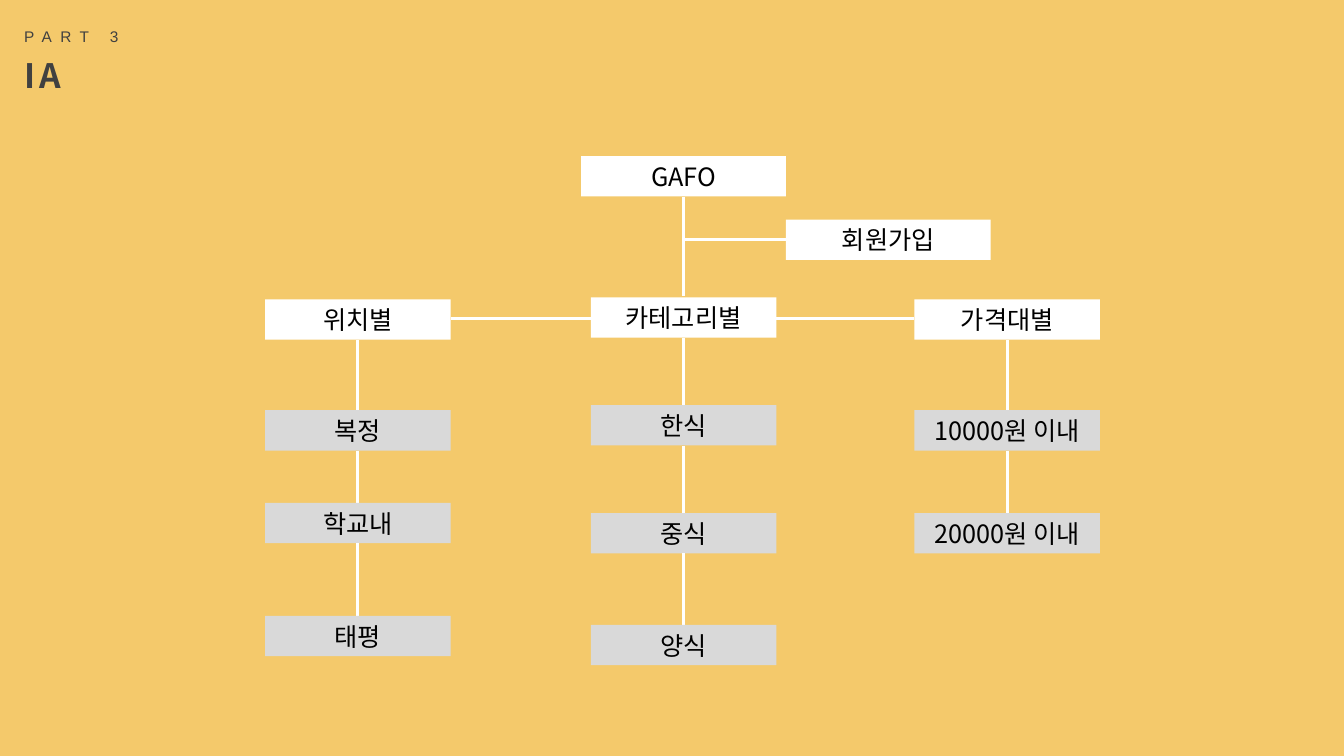
import pptx
import pptx.dml.color
import pptx.enum.shapes
import pptx.enum.text
import pptx.oxml.ns
import pptx.util
from pptx.util import Inches

RGBColor = pptx.dml.color.RGBColor
BACKGROUND = RGBColor(0xF4, 0xC9, 0x6B)
WHITE = RGBColor(0xFF, 0xFF, 0xFF)
GRAY = RGBColor(0xD9, 0xD9, 0xD9)
DARK = RGBColor(0x40, 0x40, 0x40)
BLACK = RGBColor(0, 0, 0)
KOREAN_FONT = "Noto Sans CJK KR"

BOX_HEIGHT = 0.4
MENU_WIDTH = 1.84
WIDE_WIDTH = 2.03
CENTER = 6.78
MENU_LINE = 3.16

COLUMNS = [
    (3.55, 2.97, "위치별", [(4.07, "복정"), (4.99, "학교내"), (6.11, "태평")]),
    (CENTER, 2.95, "카테고리별", [(4.02, "한식"), (5.09, "중식"), (6.2, "양식")]),
    (9.99, 2.97, "가격대별", [(4.07, "10000원 이내"), (5.09, "20000원 이내")]),
]


def write_text(shape, text, size=18, font=KOREAN_FONT, color=BLACK, bold=False,
               spacing=0, align=pptx.enum.text.PP_ALIGN.CENTER, wrap=True):
    frame = shape.text_frame
    frame.word_wrap = wrap
    frame.auto_size = pptx.enum.text.MSO_AUTO_SIZE.SHAPE_TO_FIT_TEXT
    paragraph = frame.paragraphs[0]
    paragraph.alignment = align
    run = paragraph.add_run()
    run.text = text
    run.font.size = pptx.util.Pt(size)
    run.font.name = font
    run.font.bold = bold
    run.font.color.rgb = color
    properties = run.font._element
    east_asian = properties.makeelement(pptx.oxml.ns.qn("a:ea"), {"typeface": font})
    properties.find(pptx.oxml.ns.qn("a:latin")).addnext(east_asian)
    if spacing:
        properties.set("spc", str(spacing * 100))


def add_heading(slide, text, left, top, width, height, **text_format):
    shape = slide.shapes.add_textbox(Inches(left), Inches(top), Inches(width), Inches(height))
    write_text(shape, text, color=DARK, align=pptx.enum.text.PP_ALIGN.LEFT,
               wrap=False, **text_format)


def add_box(slide, text, center, top, width=MENU_WIDTH, fill=WHITE):
    shape = slide.shapes.add_shape(
        pptx.enum.shapes.MSO_SHAPE.RECTANGLE, Inches(center - width / 2), Inches(top),
        Inches(width), Inches(BOX_HEIGHT))
    shape.shadow.inherit = False
    shape.fill.solid()
    shape.fill.fore_color.rgb = fill
    shape.line.fill.background()
    write_text(shape, text)


def add_line(slide, start_x, start_y, end_x, end_y):
    connector = slide.shapes.add_connector(
        pptx.enum.shapes.MSO_CONNECTOR.STRAIGHT,
        Inches(start_x), Inches(start_y), Inches(end_x), Inches(end_y))
    connector.line.color.rgb = WHITE
    connector.line.width = pptx.util.Pt(2.25)
    properties = connector._element.spPr
    properties.append(properties.makeelement(pptx.oxml.ns.qn("a:effectLst"), {}))


def add_column(slide, center, top, title, items):
    add_box(slide, title, center, top)
    bottom = top + BOX_HEIGHT
    for item_top, text in items:
        add_line(slide, center, bottom, center, item_top)
        add_box(slide, text, center, item_top, fill=GRAY)
        bottom = item_top + BOX_HEIGHT


def main():
    presentation = pptx.Presentation()
    presentation.slide_width = Inches(13.33)
    presentation.slide_height = Inches(7.5)
    slide = presentation.slides.add_slide(presentation.slide_layouts[6])
    slide.background.fill.solid()
    slide.background.fill.fore_color.rgb = BACKGROUND

    add_heading(slide, "PART 3", 0.14, 0.22, 1.25, 0.29, size=11, font="Arial", spacing=6)
    add_heading(slide, "IA", 0.14, 0.5, 0.61, 0.5, size=24, bold=True, spacing=3)

    add_box(slide, "GAFO", CENTER, 1.55, width=WIDE_WIDTH)
    add_line(slide, CENTER, 1.95, CENTER, 2.94)
    add_line(slide, CENTER, 2.38, CENTER + WIDE_WIDTH / 2, 2.38)
    add_box(slide, "회원가입", CENTER + WIDE_WIDTH, 2.18, width=WIDE_WIDTH)

    for column in COLUMNS:
        add_column(slide, *column)
    for left, right in zip(COLUMNS, COLUMNS[1:]):
        add_line(slide, left[0] + MENU_WIDTH / 2, MENU_LINE,
                 right[0] - MENU_WIDTH / 2, MENU_LINE)

    presentation.save("out.pptx")


main()
